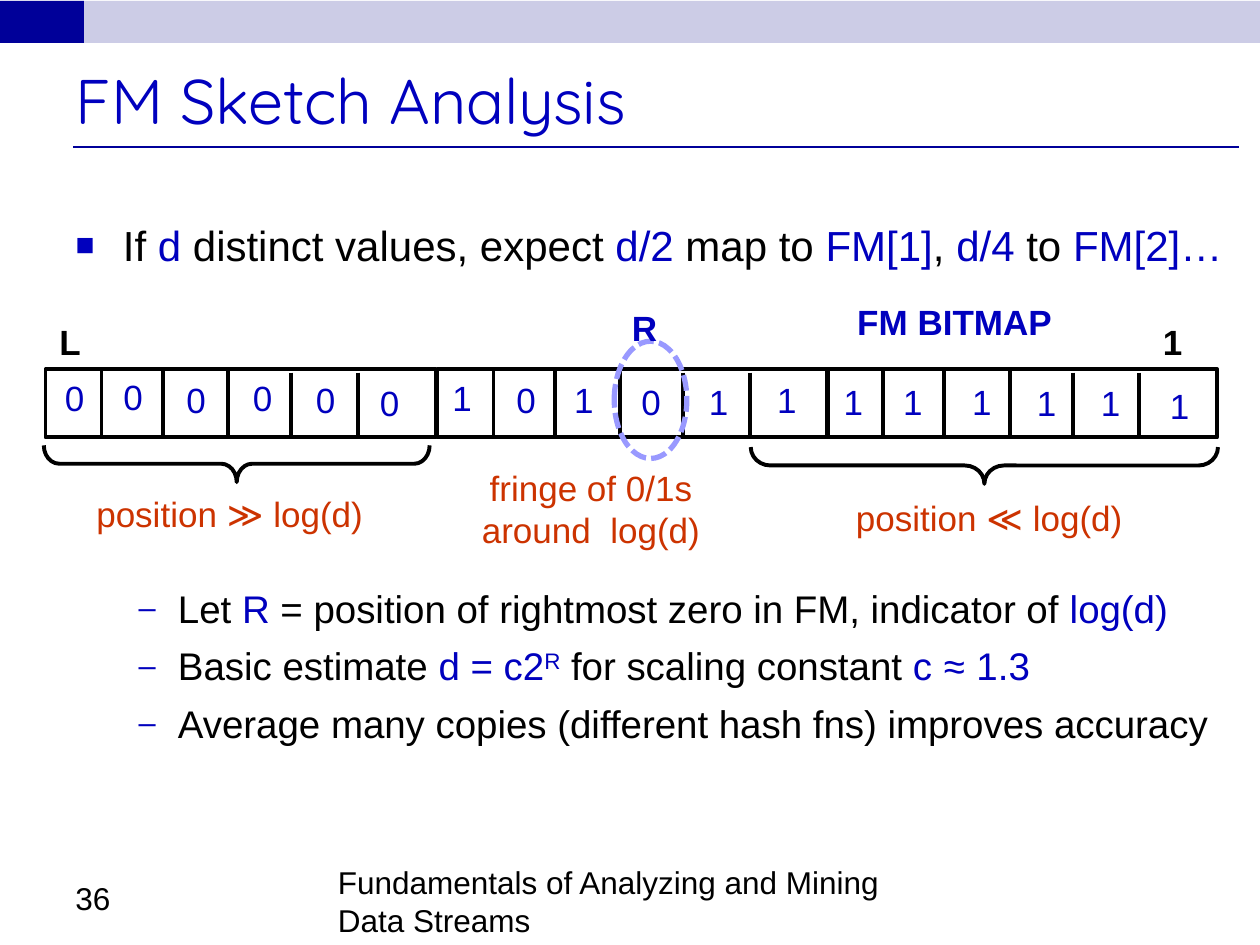
from lxml import etree
from pptx import Presentation
from pptx.dml.color import RGBColor
from pptx.enum.dml import MSO_LINE
from pptx.enum.shapes import MSO_CONNECTOR, MSO_SHAPE
from pptx.enum.text import MSO_ANCHOR, MSO_AUTO_SIZE, PP_ALIGN
from pptx.oxml.ns import qn
from pptx.util import Pt

STRAIGHT = MSO_CONNECTOR.STRAIGHT
RECT, OVAL, BRACE = MSO_SHAPE.RECTANGLE, MSO_SHAPE.OVAL, MSO_SHAPE.RIGHT_BRACE
DASH = MSO_LINE.SQUARE_DOT
TOP, MIDDLE, BOTTOM = MSO_ANCHOR.TOP, MSO_ANCHOR.MIDDLE, MSO_ANCHOR.BOTTOM
LEFT, CENTER = PP_ALIGN.LEFT, PP_ALIGN.CENTER
NO_FIT = MSO_AUTO_SIZE.NONE

BLACK, BLUE, NAVY = "000000", "0000BE", "000099"
PALE, RUST, LILAC = "CCCCE6", "CC3300", "9999FF"

DIVIDERS = [(32, 0), (67, 0.7), (104.5, 0), (140.5, 2), (178.5, 2)]
SEGMENTS = [
    (0, "000000", [(4, 0.5), (37.5, 0), (73.5, 1.5), (111.5, 0.5), (147.5, 1.5), (184, 3.5)]),
    (224, "101011", [(1.5, 0.5), (38, 2), (71, 1.5), (109.5, 3), (148, 3), (187, 1.5)]),
    (446.5, "111111", [(2.5, 3), (36.5, 3), (76, 3), (113, 3.5), (149.5, 3.5), (189, 5)]),
]
CLAIM = [("If ", BLACK), ("d", BLUE), (" distinct values, expect ", BLACK), ("d/2", BLUE),
         (" map to ", BLACK), ("FM[1]", BLUE), (", ", BLACK), ("d/4", BLUE),
         (" to ", BLACK), ("FM[2]…", BLUE)]
STEPS = [
    [("Let ", BLACK), ("R", BLUE),
     (" = position of rightmost zero in FM, indicator of ", BLACK), ("log(d)", BLUE)],
    [("Basic estimate ", BLACK), ("d = c2", BLUE), ("R", BLUE, "Arial", 30000),
     (" for scaling constant ", BLACK), ("c ", BLUE), ("≈", BLUE, "Courier New"),
     (" 1.3", BLUE)],
    [("Average many copies (different hash fns) improves accuracy", BLACK)],
]


def rgb(value):
    return RGBColor.from_string(value)


def add_runs(p, runs, size, bold=False):
    for text, color, *extra in runs:
        r = p.add_run()
        r.text = text
        r.font.name = extra[0] if extra else "Arial"
        r.font.size, r.font.bold = Pt(size), bold
        r.font.color.rgb = rgb(color)
        if len(extra) > 1:
            r.font._element.set("baseline", str(extra[1]))


def place(sp, left, top, width, height):
    sp.left, sp.top, sp.width, sp.height = Pt(left), Pt(top), Pt(width), Pt(height)


def add_label(s, box, runs, size=20, bold=False, align=CENTER, anchor=TOP, wrap=True):
    sp = s.shapes.add_textbox(*map(Pt, box))
    tf = sp.text_frame
    tf.word_wrap, tf.vertical_anchor = wrap, anchor
    p = tf.paragraphs[0]
    p.alignment = align
    add_runs(p, runs, size, bold)


def add_outline(s, kind, box, fill=None, line=None, weight=2.25):
    sp = s.shapes.add_shape(kind, *map(Pt, box))
    sp.shadow.inherit = False
    if fill:
        sp.fill.solid()
        sp.fill.fore_color.rgb = rgb(fill)
    else:
        sp.fill.background()
    if line:
        sp.line.color.rgb, sp.line.width = rgb(line), Pt(weight)
    else:
        sp.line.fill.background()
    return sp


def add_rule(s, x1, y1, x2, y2, color, weight):
    c = s.shapes.add_connector(STRAIGHT, Pt(x1), Pt(y1), Pt(x2), Pt(y2))
    c.line.color.rgb, c.line.width = rgb(color), Pt(weight)
    etree.SubElement(c._element.spPr, qn("a:effectLst"))


def set_bullet(p, char, size, margin, hang):
    pPr = p._p.get_or_add_pPr()
    pPr.set("marL", str(Pt(margin)))
    pPr.set("indent", str(-Pt(hang)))
    clr = etree.SubElement(pPr, qn("a:buClr"))
    etree.SubElement(clr, qn("a:srgbClr")).set("val", BLUE)
    etree.SubElement(pPr, qn("a:buSzPct")).set("val", str(size * 1000))
    etree.SubElement(pPr, qn("a:buFont")).set("typeface", "Arial")
    etree.SubElement(pPr, qn("a:buChar")).set("char", char)


def add_header(s, left, top, width):
    add_outline(s, RECT, (left, top, width, 24), PALE)
    add_outline(s, RECT, (left, top, 48, 24), NAVY)
    add_rule(s, left + 42, top + 83.5, left + width - 12, top + 83.5, NAVY, 0.75)


def fill_title(sp, *box):
    place(sp, *box)
    tf = sp.text_frame
    tf.auto_size, tf.vertical_anchor = NO_FIT, MIDDLE
    p = tf.paragraphs[0]
    p.alignment = LEFT
    add_runs(p, [("FM Sketch Analysis", BLUE, "Quicksand")], 36)


def fill_body(sp, *box):
    place(sp, *box)
    tf = sp.text_frame
    tf.auto_size, tf.vertical_anchor = NO_FIT, TOP
    p = tf.paragraphs[0]
    set_bullet(p, "■", 75, 27, 27)
    p.space_before = Pt(0)
    add_runs(p, CLAIM, 24)
    for i, step in enumerate(STEPS):
        p = tf.add_paragraph()
        p.level = 1
        set_bullet(p, "–", 80, 58.5, 22.5)
        p.space_before = Pt(6.3 if i else 180)
        add_runs(p, step, 22)


def add_segment(s, left, top, bits, offsets):
    add_outline(s, RECT, (left, top, 223, 39), line=BLACK)
    for dx, dy in DIVIDERS:
        add_rule(s, left + dx, top + dy, left + dx, top + dy + 38, BLACK, 2.25)
    for bit, (dx, dy) in zip(bits, offsets):
        add_label(s, (left + dx, top + dy, 25, 31.5), [(bit, BLUE)], wrap=False)


def add_brace(s, left, top, length, depth, bend):
    box = (left + (length - depth) / 2, top + (depth - length) / 2, depth, length)
    sp = add_outline(s, BRACE, box, line=BLACK)
    sp.adjustments[0] = bend
    sp.rotation = 90


def add_bitmap(s, left, top):
    for dx, bits, offsets in SEGMENTS:
        add_segment(s, left + dx, top, bits, offsets)
    add_brace(s, left - 1, top + 43.5, 220.5, 21, 0.42)
    add_brace(s, left + 403, top + 44.5, 267, 21, 0.53)
    add_outline(s, OVAL, (left + 325, top - 16, 41.5, 67), line=LILAC, weight=3).line.dash_style = DASH

    add_label(s, (left + 0.5, top - 31.5, 27, 31.5), [("L", BLACK)], bold=True, wrap=False)
    add_label(s, (left + 631.5, top - 31.5, 25, 31.5), [("1", BLACK)], bold=True, wrap=False)
    add_label(s, (left + 328, top - 39.5, 36, 31.5), [("R", BLUE)], bold=True, align=LEFT)
    add_label(s, (left + 454, top - 43, 131, 31.5), [("FM BITMAP", BLUE)], bold=True)

    add_label(s, (left + 216, top + 52, 191.5, 55.5), [("fringe of 0/1s around  log(d)", RUST)])
    for dx, dy, sign in [(9.5, 67, "≫"), (443.5, 69, "≪")]:
        runs = [("position ", RUST), (sign, RUST, "DejaVu Sans"), (" log(d)", RUST)]
        add_label(s, (left + dx, top + dy, 191.5, 31.5), runs)


def add_footer(s, left, top):
    add_label(s, (left + 150, top, 366, 50.5),
              [("Fundamentals of Analyzing and Mining Data Streams", BLACK)], 18,
              align=LEFT, anchor=BOTTOM)
    add_label(s, (left, top + 2, 168, 36), [("36", BLACK)], 18, align=LEFT, anchor=BOTTOM)


def main():
    prs = Presentation()
    prs.slide_width, prs.slide_height = Pt(720), Pt(540)
    s = prs.slides.add_slide(prs.slide_layouts[1])
    add_header(s, 0, 0.5, 720)
    fill_title(s.shapes.title, 36, 24, 684, 66)
    fill_body(s.placeholders[1], 36, 122, 672, 364)
    add_bitmap(s, 26, 211)
    add_footer(s, 36, 489.5)
    prs.save("out.pptx")


if __name__ == "__main__":
    main()
